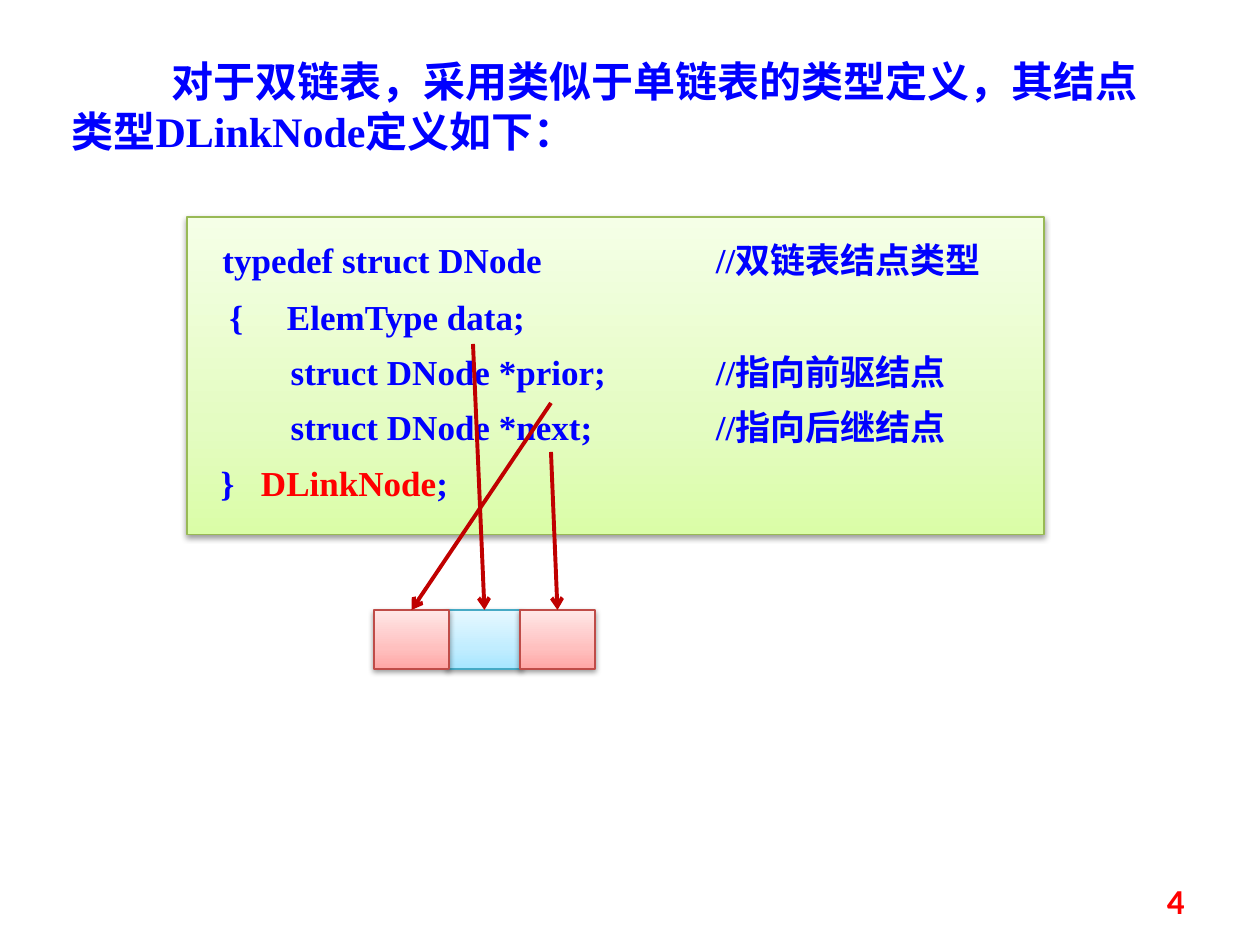
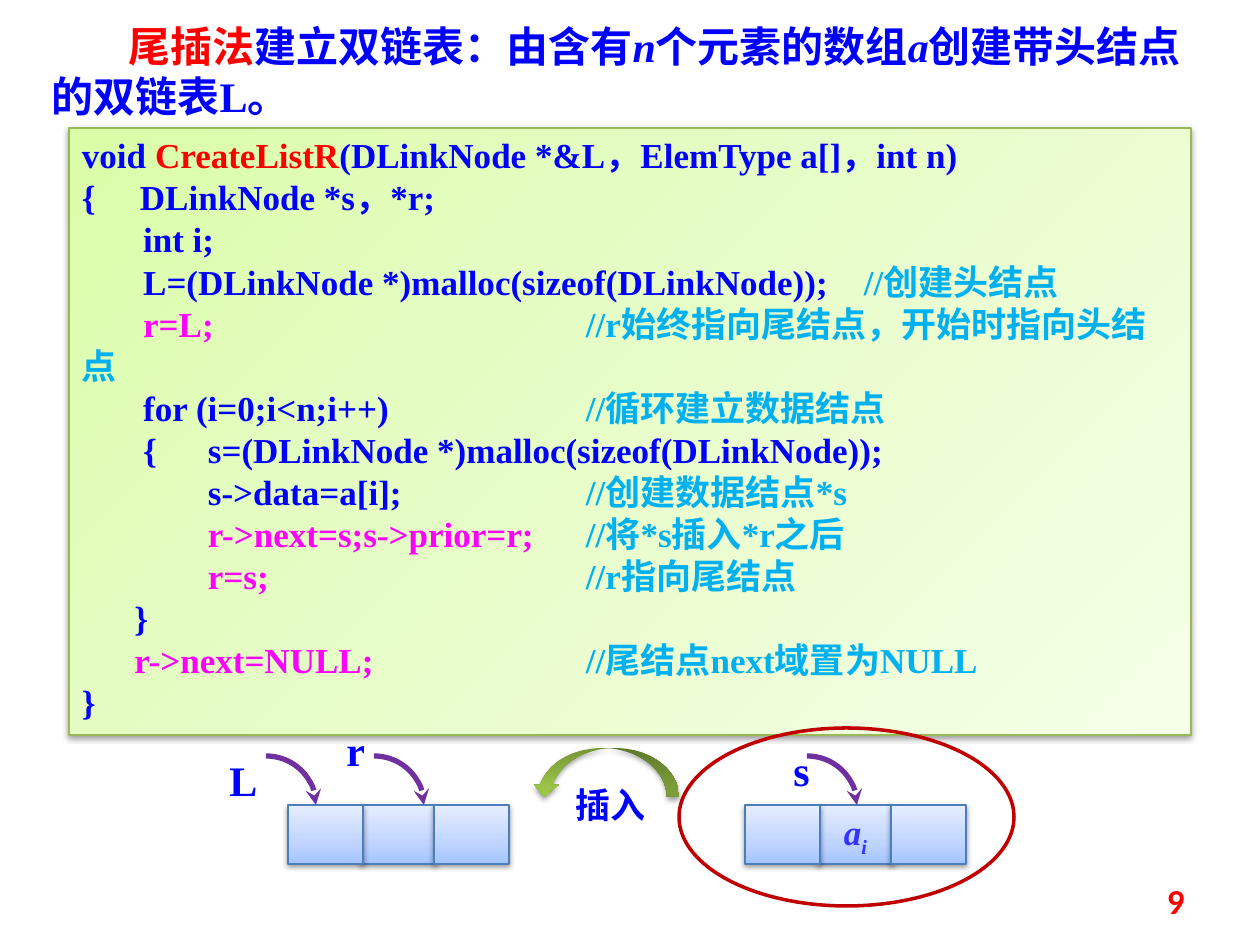
from pptx import Presentation
from pptx.dml.color import RGBColor
from pptx.enum.shapes import MSO_CONNECTOR, MSO_SHAPE
from pptx.enum.text import MSO_ANCHOR, MSO_AUTO_SIZE, PP_ALIGN
from pptx.oxml.ns import qn
from pptx.util import Emu, Pt
from lxml.etree import SubElement
from copy import deepcopy

PX = 914400 / 126
BLUE = RGBColor(0x00, 0x00, 0xFF)
RED = RGBColor(0xFF, 0x00, 0x00)
SKY = RGBColor(0x00, 0xB0, 0xF0)
MAGENTA = RGBColor(0xFF, 0x00, 0xFF)
INDIGO = RGBColor(0x33, 0x33, 0xFF)
CRIMSON = RGBColor(0xC0, 0x00, 0x00)
PURPLE = RGBColor(0x70, 0x30, 0xA0)
GREEN_LINE = RGBColor(0x98, 0xB9, 0x55)
TEAL_LINE = RGBColor(0x46, 0xAA, 0xC5)
RED_LINE = RGBColor(0xBF, 0x4C, 0x48)
BLUE_LINE = RGBColor(0x4B, 0x7E, 0xBC)
GREENS = [(0, RGBColor(0xDA, 0xFD, 0xA7)), (0.35, RGBColor(0xE4, 0xFC, 0xC2)), (1, RGBColor(0xF5, 0xFF, 0xE7))]
TEALS = [(0, RGBColor(0xA7, 0xE6, 0xFF)), (0.35, RGBColor(0xC1, 0xED, 0xFF)), (1, RGBColor(0xE7, 0xF8, 0xFF))]
REDS = [(0, RGBColor(0xFF, 0xA6, 0xA5)), (0.35, RGBColor(0xFF, 0xC0, 0xBF)), (1, RGBColor(0xFF, 0xE7, 0xE7))]
BLUES = [(0, RGBColor(0xA4, 0xC4, 0xFF)), (0.35, RGBColor(0xBF, 0xD4, 0xFF)), (1, RGBColor(0xE6, 0xEE, 0xFF))]
OLIVES = [(0, RGBColor(0x77, 0x97, 0x37)), (0.8, RGBColor(0x9B, 0xC3, 0x48)), (1, RGBColor(0x9D, 0xC7, 0x46))]
SERIF = "Times New Roman"
CHINESE = "Noto Sans CJK SC"
TABS = (126, 504)


def write(para, text, color=BLUE, **changes):
    span = para.add_run()
    span.text = text
    span.font.color.rgb = color
    values = {"size": Pt(20), "bold": True, "italic": False, "name": SERIF} | changes
    for key, value in values.items():
        setattr(span.font, key, value)
    SubElement(span._r.rPr, qn("a:ea"), typeface=CHINESE)
    return span


def paint(shape, stops, angle, line):
    shape.fill.gradient()
    shape.fill.gradient_angle = angle
    stop_list = shape._element.spPr.find(qn("a:gradFill")).find(qn("a:gsLst"))
    stop_list.append(deepcopy(stop_list[0]))
    for stop, (position, color) in zip(shape.fill.gradient_stops, stops):
        stop.position = position
        stop.color.rgb = color
    if line is None:
        shape.line.fill.background()
    else:
        shape.line.color.rgb = line
        shape.line.width = Pt(0.75)
    shape.shadow.inherit = False
    effects = shape._element.spPr.find(qn("a:effectLst"))
    shadow = SubElement(effects, qn("a:outerShdw"), blurRad="40000", dist="20000", dir="5400000", rotWithShape="0")
    black = SubElement(shadow, qn("a:srgbClr"), val="000000")
    SubElement(black, qn("a:alpha"), val="38000")


TYPE_CODE = [
    (TABS, [("typedef struct DNode\t//双链表结点类型", BLUE)]),
    ((75,), [("  {\tElemType data;", BLUE)]),
    (TABS, [("         struct DNode *prior;\t//指向前驱结点", BLUE)]),
    (TABS, [("         struct DNode *next;\t//指向后继结点", BLUE)]),
    ((49,), [(" }\t", BLUE), ("DLinkNode", RED), (";", BLUE)]),
]
CREATE_CODE = [
    (TABS, [("void ", BLUE), ("CreateListR", RED), ("(DLinkNode *&L，ElemType a[]，int n)", BLUE)]),
    ((58,), [("{\tDLinkNode *s，*r;", BLUE)]),
    (TABS, [("       int i;", BLUE)]),
    ((782,), [("       L=(DLinkNode *)malloc(sizeof(DLinkNode));\t", BLUE), ("//创建头结点", SKY)]),
    (TABS, [("       r=L;\t", MAGENTA), ("//r始终指向尾结点，开始时指向头结点", SKY)]),
    (TABS, [("       for (i=0;i<n;i++)\t", BLUE), ("//循环建立数据结点", SKY)]),
    (TABS, [("       {\ts=(DLinkNode *)malloc(sizeof(DLinkNode));", BLUE)]),
    (TABS, [("\ts->data=a[i];\t", BLUE), ("//创建数据结点*s", SKY)]),
    (TABS, [("\tr->next=s;s->prior=r;\t", MAGENTA), ("//将*s插入*r之后", SKY)]),
    (TABS, [("\tr=s;\t", MAGENTA), ("//r指向尾结点", SKY)]),
    (TABS, [("      }", BLUE)]),
    (TABS, [("      r->next=NULL;\t", MAGENTA), ("//尾结点next域置为NULL", SKY)]),
    (TABS, [("}", BLUE)]),
]
PAGES = [
    dict(number="4", title_at=(59, 49, 1103, 115), indent=100,
         title=[("对于双链表，采用类似于单链表的类型定义，其结点类型DLinkNode定义如下：", BLUE, False)],
         code_at=(187, 217, 857, 318), margins=(25, 15), angle=90, code=TYPE_CODE, spaced=True),
    dict(number="9", title_at=(39, 14, 1162, 115), indent=77,
         title=[("尾插法", RED, False), ("建立双链表：由含有", BLUE, False), ("n", BLUE, True),
                ("个元素的数组", BLUE, False), ("a", BLUE, True), ("创建带头结点的双链表L。", BLUE, False)],
         code_at=(69, 128, 1122, 607), margins=(13, 6), angle=315, code=CREATE_CODE, spaced=False),
]

deck = Presentation()
deck.slide_width = Emu(int(1260 * PX))
deck.slide_height = Emu(int(945 * PX))

for content in PAGES:
    page = deck.slides.add_slide(deck.slide_layouts[5])
    title = page.shapes.title
    title.left, title.top, title.width, title.height = (Emu(int(v * PX)) for v in content["title_at"])
    title.text_frame.auto_size = MSO_AUTO_SIZE.NONE
    title.text_frame.vertical_anchor = MSO_ANCHOR.TOP
    para = title.text_frame.paragraphs[0]
    para.alignment = PP_ALIGN.LEFT
    para._p.get_or_add_pPr().set("indent", str(int(content["indent"] * PX)))
    for text, color, italic in content["title"]:
        write(para, text, color, size=Pt(24), italic=italic)

    box = page.shapes.add_shape(MSO_SHAPE.RECTANGLE, *(Emu(int(v * PX)) for v in content["code_at"]))
    paint(box, GREENS, content["angle"], GREEN_LINE)
    frame = box.text_frame
    frame.word_wrap = True
    frame.vertical_anchor = MSO_ANCHOR.TOP
    side, edge = content["margins"]
    frame.margin_left = Emu(int(side * PX))
    frame.margin_top = frame.margin_bottom = Emu(int(edge * PX))
    for index, (tabs, runs) in enumerate(content["code"]):
        para = frame.add_paragraph() if index else frame.paragraphs[0]
        para.alignment = PP_ALIGN.LEFT
        if content["spaced"] and index:
            para.line_spacing = 0.9
            para.space_before = Pt(10)
        tab_list = SubElement(para._p.get_or_add_pPr(), qn("a:tabLst"))
        for tab in tabs:
            SubElement(tab_list, qn("a:tab"), pos=str(int(tab * PX)), algn="l")
        if content["spaced"] and not index:
            write(para, " ", size=Pt(24))
        for text, color in runs:
            write(para, text, color)

    number = page.shapes.add_textbox(*(Emu(int(v * PX)) for v in (903, 876, 294, 50)))
    number.text_frame.word_wrap = True
    number.text_frame.vertical_anchor = MSO_ANCHOR.MIDDLE
    para = number.text_frame.paragraphs[0]
    para.alignment = PP_ALIGN.RIGHT
    write(para, content["number"], RED, name="Calibri")

type_page, create_page = deck.slides
nodes = []
for page, left, top, outer, middle in [
    (type_page, 374, 610, (REDS, RED_LINE), (TEALS, TEAL_LINE)),
    (create_page, 745, 805, (BLUES, BLUE_LINE), (BLUES, BLUE_LINE)),
    (create_page, 288, 805, (BLUES, BLUE_LINE), (BLUES, BLUE_LINE)),
]:
    cells = {}
    for column in (1, 2, 0):
        place = (left + 73 * column, top, 75, 59)
        cells[column] = page.shapes.add_shape(MSO_SHAPE.RECTANGLE, *(Emu(int(v * PX)) for v in place))
        stops, line = middle if column == 1 else outer
        paint(cells[column], stops, 90, line)
    nodes.append(cells)

for column, x, y in [(1, 473, 344), (0, 551, 403), (2, 551, 452)]:
    start = (Emu(int(x * PX)), Emu(int(y * PX)))
    arrow = type_page.shapes.add_connector(MSO_CONNECTOR.STRAIGHT, *start, *start)
    arrow.end_connect(nodes[0][column], 0)
    arrow.line.color.rgb = CRIMSON
    arrow.line.width = Pt(2.25)
    SubElement(arrow.line._get_or_add_ln(), qn("a:tailEnd"), type="arrow")
    SubElement(arrow._element.spPr, qn("a:effectLst"))

frame = nodes[1][1].text_frame
frame.word_wrap = False
frame.vertical_anchor = MSO_ANCHOR.MIDDLE
para = frame.paragraphs[0]
para.alignment = PP_ALIGN.CENTER
write(para, "a", INDIGO, italic=True)
subscript = write(para, "i", INDIGO, italic=True)
subscript._r.rPr.set("baseline", "-25000")

for x in (266, 374, 807):
    pointer = create_page.shapes.add_shape(MSO_SHAPE.ARC, *(Emu(int(v * PX)) for v in (x - 50, 756, 100, 98)))
    pointer.shadow.inherit = False
    pointer.fill.background()
    pointer.line.color.rgb = PURPLE
    pointer.line.width = Pt(3)
    SubElement(pointer.line._get_or_add_ln(), qn("a:tailEnd"), type="stealth")

ring = create_page.shapes.add_shape(MSO_SHAPE.OVAL, *(Emu(int(v * PX)) for v in (679, 728, 335, 178)))
ring.shadow.inherit = False
ring.fill.background()
ring.line.color.rgb = CRIMSON
ring.line.width = Pt(2)

insertion = create_page.shapes.add_shape(MSO_SHAPE.CURVED_UP_ARROW, *(Emu(int(v * PX)) for v in (532, 748, 147, 49)))
insertion.rotation = 180
paint(insertion, OLIVES, 90, None)

for text, place, alignment, style in [
    ("s", (781, 738, 59, 63), PP_ALIGN.LEFT, {"size": Pt(24)}),
    ("L", (217, 748, 59, 63), PP_ALIGN.LEFT, {"size": Pt(24)}),
    ("r", (334, 718, 59, 63), PP_ALIGN.LEFT, {"size": Pt(24)}),
    ("插入", (542, 777, 137, 55), PP_ALIGN.CENTER, {"name": CHINESE}),
]:
    label = create_page.shapes.add_textbox(*(Emu(int(v * PX)) for v in place))
    label.text_frame.word_wrap = True
    para = label.text_frame.paragraphs[0]
    para.alignment = alignment
    write(para, text, **style)

deck.save("out.pptx")
